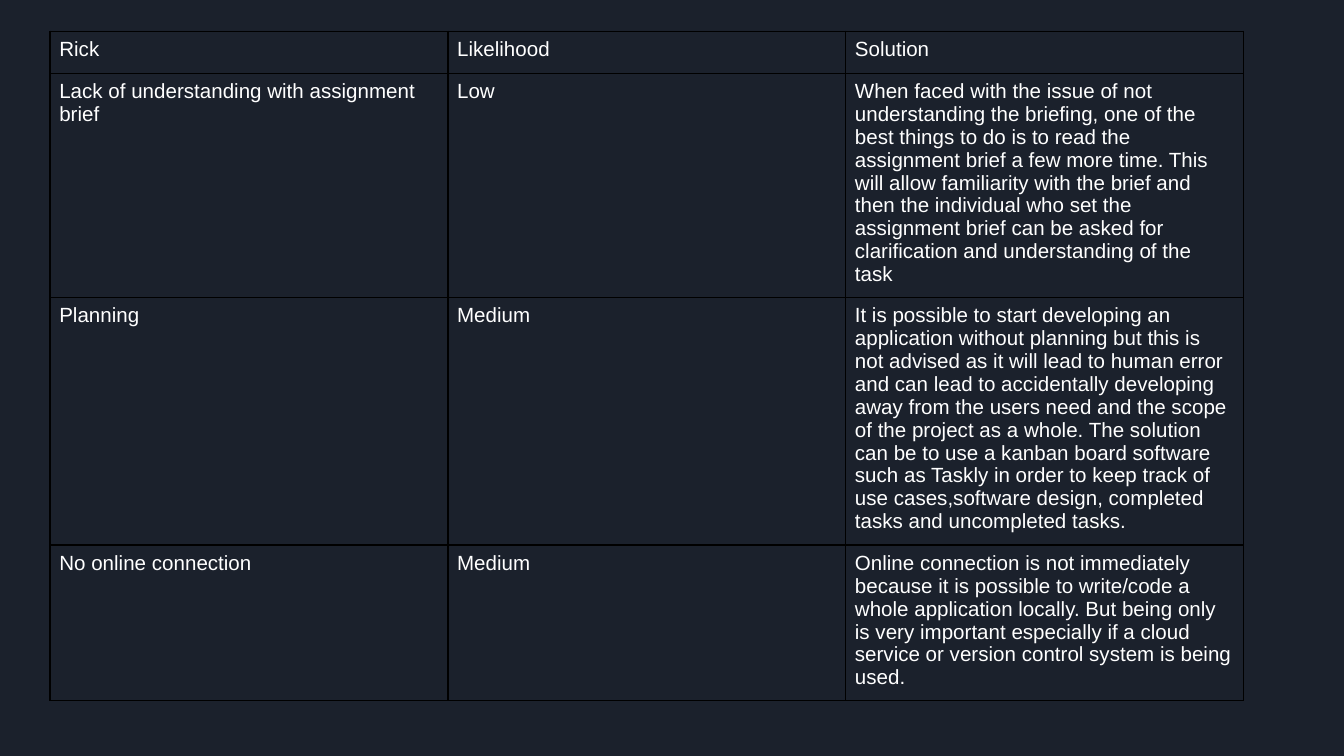
from lxml import etree
from pptx import Presentation
from pptx.dml.color import RGBColor
from pptx.oxml.ns import qn
from pptx.util import Pt

THEME = {
    "background": RGBColor.from_string("1B212C"),
    "text": RGBColor.from_string("FFFFFF"),
    "border": "000000",
    "border_width": Pt(0.96),
    "font": "Arial",
    "size": Pt(11),
}
FONT_FORMAT = {"name": THEME["font"], "size": THEME["size"]}
CELL_MARGINS = {
    "margin_left": Pt(5), "margin_right": Pt(5),
    "margin_top": Pt(3.6), "margin_bottom": Pt(3.6),
}

RISKS = [
    ("Rick", "Likelihood", "Solution"),
    ("Lack of understanding with assignment brief", "Low",
     "When faced with the issue of not understanding the briefing, one of the "
     "best things to do is to read the assignment brief a few more time. This "
     "will allow familiarity with the brief and then the individual who set the "
     "assignment brief can be asked for clarification and understanding of the "
     "task"),
    ("Planning", "Medium",
     "It is possible to start developing an application without planning but "
     "this is not advised as it will lead to human error and can lead to "
     "accidentally developing away from the users need and the scope of the "
     "project as a whole. The solution can be to use a kanban board software "
     "such as Taskly in order to keep track of use cases,software design, "
     "completed tasks and uncompleted tasks."),
    ("No online connection", "Medium",
     "Online connection is not immediately because it is possible to write/code "
     "a whole application locally. But being only is very important especially "
     "if a cloud service or version control system is being used."),
]
COLUMN_WIDTH = 213.12
ROW_HEIGHTS = [22.4, 120.2, 132.6, 83.3]


def add_borders(cell):
    tc_pr = cell._tc.get_or_add_tcPr()
    for side in ("a:lnL", "a:lnR", "a:lnT", "a:lnB"):
        ln = etree.SubElement(tc_pr, qn(side), w=str(int(THEME["border_width"])))
        fill = etree.SubElement(ln, qn("a:solidFill"))
        etree.SubElement(fill, qn("a:srgbClr"), val=THEME["border"])


# Slide and background
prs = Presentation()
prs.slide_width, prs.slide_height = Pt(720), Pt(405)
s = prs.slides.add_slide(prs.slide_layouts[6])
s.background.fill.solid()
s.background.fill.fore_color.rgb = THEME["background"]

# Risk table
n_cols = len(RISKS[0])
sp = s.shapes.add_table(len(RISKS), n_cols, Pt(26.8), Pt(16.9),
                        Pt(n_cols * COLUMN_WIDTH), Pt(sum(ROW_HEIGHTS)))
table = sp.table
table.first_row = table.horz_banding = False
for column in table.columns:
    column.width = Pt(COLUMN_WIDTH)
for row, height in zip(table.rows, ROW_HEIGHTS):
    row.height = Pt(height)

# Cell text, margins, borders and fill
for row, texts in zip(table.rows, RISKS):
    for cell, content in zip(row.cells, texts):
        for name, value in CELL_MARGINS.items():
            setattr(cell, name, value)
        add_borders(cell)
        cell.fill.background()
        r = cell.text_frame.paragraphs[0].add_run()
        r.text = content
        for name, value in FONT_FORMAT.items():
            setattr(r.font, name, value)
        r.font.color.rgb = THEME["text"]

prs.save("out.pptx")
